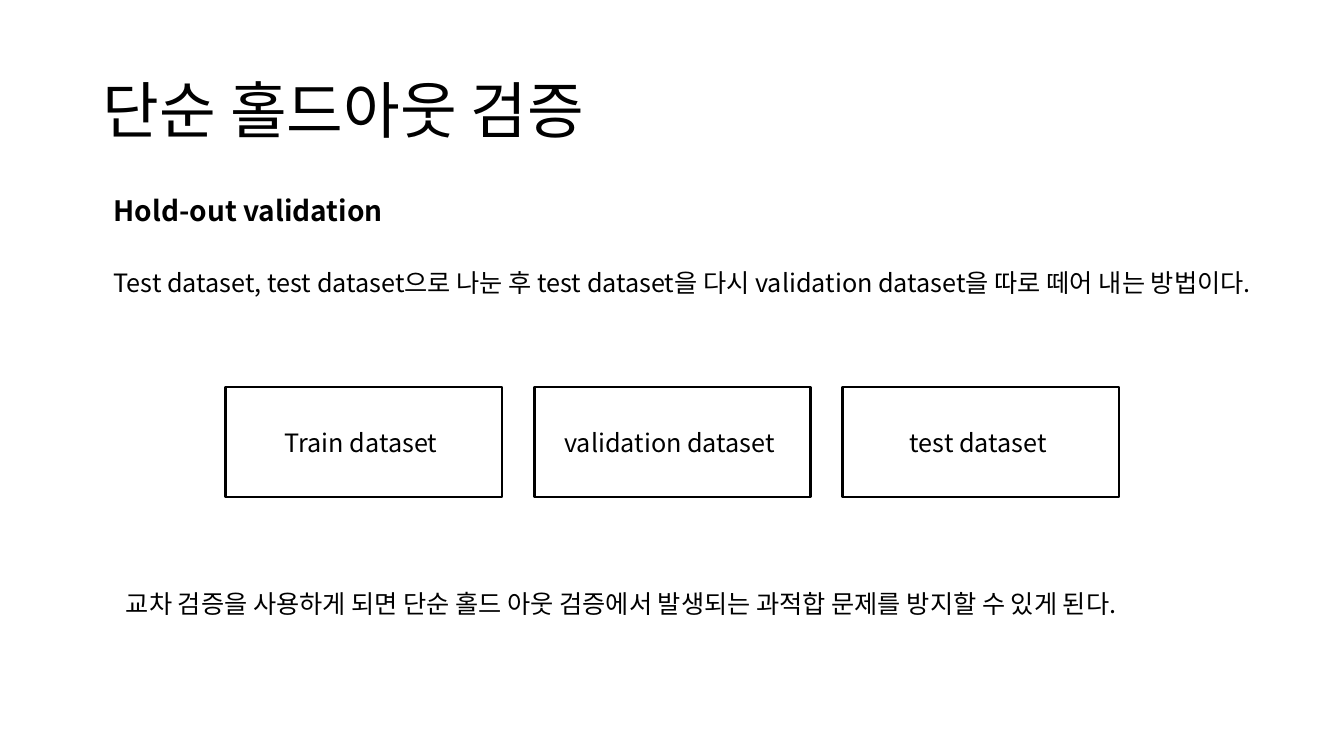
from pptx import Presentation
from pptx import util as u
from pptx.dml import color
from pptx.enum import shapes, text
from pptx.oxml import ns
from lxml import etree

COLORS = {"ink": "000000", "paper": "FFFFFF"}
FONT = "Noto Sans CJK KR"


class SlideBuilder:
    def __init__(self, slide):
        self.slide = slide

    def rgb(self, name):
        return color.RGBColor.from_string(COLORS[name])

    def place(self, shape, box):
        shape.left, shape.top, shape.width, shape.height = map(u.Inches, box)

    def set_text(self, shape, content, size, bold=False,
                 align=text.PP_ALIGN.LEFT, anchor=text.MSO_ANCHOR.TOP,
                 fit=text.MSO_AUTO_SIZE.NONE):
        frame = shape.text_frame
        frame.word_wrap = True
        frame.auto_size = fit
        frame.vertical_anchor = anchor
        paragraph = frame.paragraphs[0]
        paragraph.alignment = align
        run = paragraph.add_run()
        run.text = content
        run.font.size = u.Pt(size)
        run.font.bold = bold
        run.font.name = FONT
        run.font.color.rgb = self.rgb("ink")
        east_asian = etree.Element(ns.qn("a:ea"), typeface=FONT)
        run.font._element.find(ns.qn("a:latin")).addnext(east_asian)
        return paragraph

    def title(self, content, box):
        shape = self.slide.shapes.title
        self.place(shape, box)
        paragraph = self.set_text(shape, content, 44, anchor=text.MSO_ANCHOR.MIDDLE)
        paragraph.line_spacing = 0.9

    def label(self, content, box, size=18, bold=False):
        shape = self.slide.shapes.add_textbox(*map(u.Inches, box))
        self.set_text(shape, content, size, bold,
                      fit=text.MSO_AUTO_SIZE.SHAPE_TO_FIT_TEXT)

    def box_row(self, labels, left, top, width, height, step):
        group = self.slide.shapes.add_group_shape()
        for index, content in enumerate(labels):
            box = (left + index * step, top, width, height)
            shape = group.shapes.add_shape(
                shapes.MSO_SHAPE.RECTANGLE, *map(u.Inches, box))
            shape.shadow.inherit = False
            shape.fill.solid()
            shape.fill.fore_color.rgb = self.rgb("paper")
            shape.line.color.rgb = self.rgb("ink")
            shape.line.width = u.Pt(2)
            self.set_text(shape, content, 18, align=text.PP_ALIGN.CENTER,
                          anchor=text.MSO_ANCHOR.MIDDLE)


presentation = Presentation()
presentation.slide_width = u.Inches(13.33)
presentation.slide_height = u.Inches(7.5)
title_only = presentation.slide_layouts[5]
builder = SlideBuilder(presentation.slides.add_slide(title_only))

builder.title("단순 홀드아웃 검증", (0.92, 0.4, 11.5, 1.45))
builder.label("Hold-out validation", (1.03, 1.87, 4.69, 0.44), size=20, bold=True)
builder.label(
    "Test dataset, test dataset으로 나눈 후 test dataset을 다시 "
    "validation dataset을 따로 떼어 내는 방법이다. ",
    (1.03, 2.6, 12.04, 0.4))
builder.box_row(
    ["Train dataset ", "validation dataset ", "test dataset "],
    left=2.24, top=3.84, width=2.74, height=1.09, step=3.06)
builder.label(
    "교차 검증을 사용하게 되면 단순 홀드 아웃 검증에서 발생되는 "
    "과적합 문제를 방지할 수 있게 된다. ",
    (1.15, 5.79, 11.83, 0.4))

presentation.save("out.pptx")
